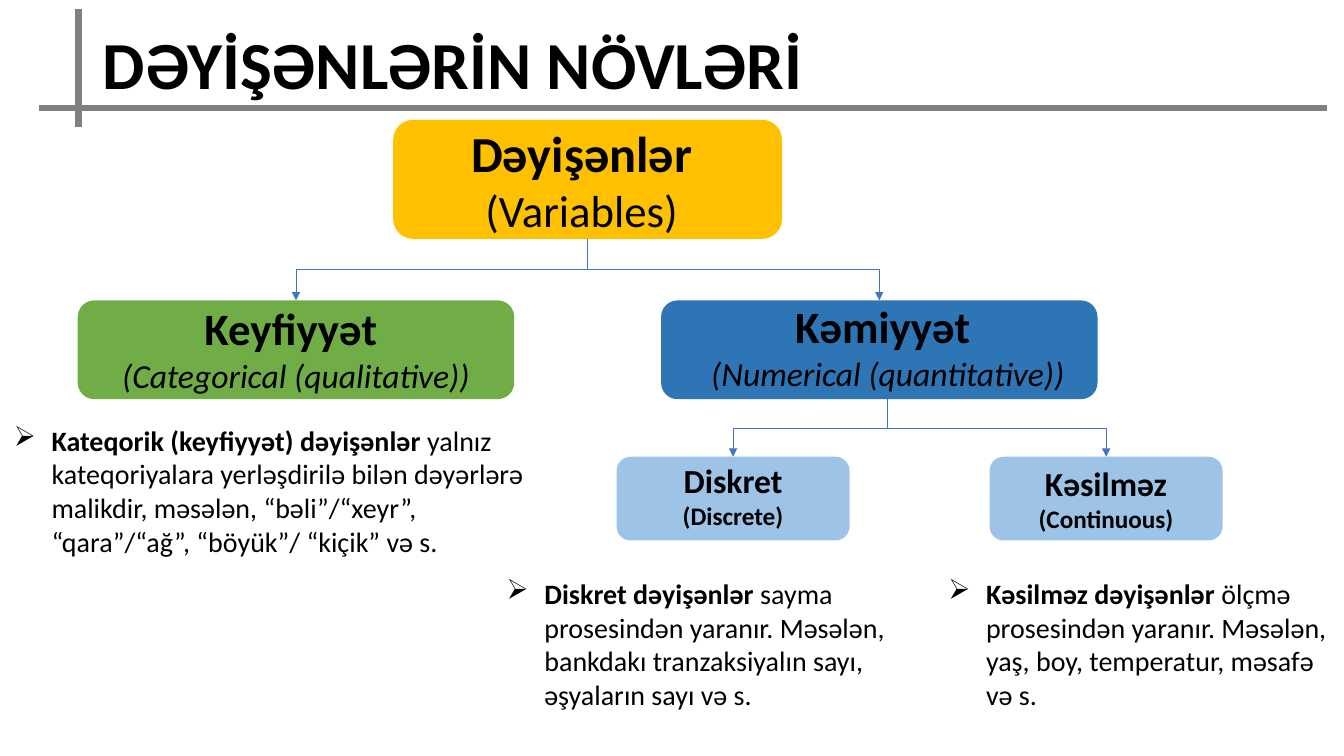
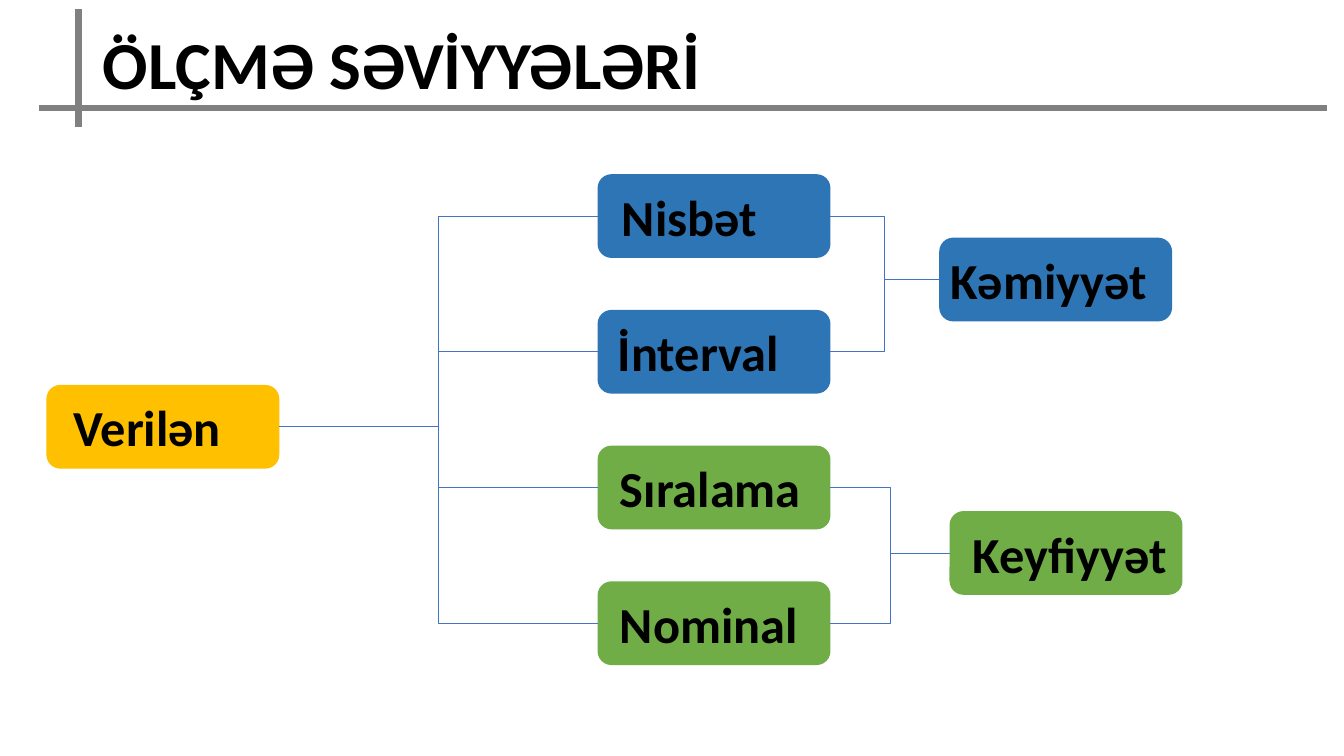
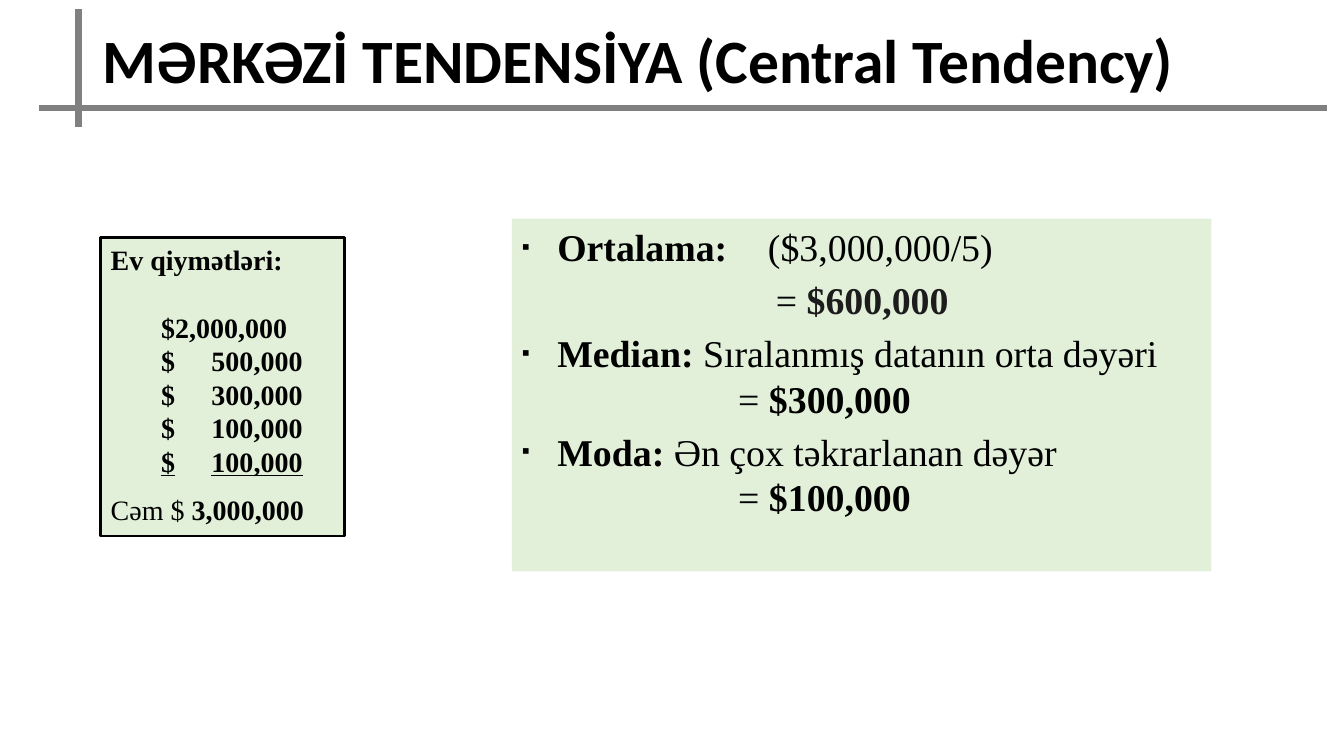
from lxml import etree
from pptx import Presentation
from pptx.dml import color as dml
from pptx.enum import shapes, text
from pptx.oxml import ns
from pptx.util import Cm, Pt

COLORS = {
    "black": "000000", "ink": "1C1C1C", "rule": "808080", "link": "4472C4",
    "root": "FFC000", "numeric": "2E75B6", "category": "70AD47",
    "leaf": "9DC3E6", "panel": "E2F0D9",
}
RGB = {name: dml.RGBColor.from_string(value) for name, value in COLORS.items()}
LEFT, CENTER = text.PP_ALIGN.LEFT, text.PP_ALIGN.CENTER
SERIF = "Times New Roman"


def write(box, content, size=20, font="Calibri", italic=False, align=LEFT, before=0,
          after=0, indent=0, hang=0, bullet=None, bullet_size=100, tabs=()):
    """Add one paragraph to a box; the parts between asterisks are bold."""
    frame = box.text_frame
    para = frame.add_paragraph() if frame.text else frame.paragraphs[0]
    props = para._p.get_or_add_pPr()
    props.set("marL", str(Cm(indent)))
    props.set("indent", str(Cm(-hang)))
    if bullet:
        etree.SubElement(props, ns.qn("a:buSzPct")).set("val", str(bullet_size * 1000))
        etree.SubElement(props, ns.qn("a:buChar")).set("char", bullet)
    else:
        etree.SubElement(props, ns.qn("a:buNone"))
    if tabs:
        stops = etree.SubElement(props, ns.qn("a:tabLst"))
        for position, side in tabs:
            etree.SubElement(stops, ns.qn("a:tab"), pos=str(Cm(position)), algn=side)
    para.alignment = align
    para.space_before, para.space_after = Pt(before), Pt(after)
    for number, part in enumerate(content.split("*")):
        if part:
            span = para.add_run()
            span.text = part
            span.font.name, span.font.size = font, Pt(size)
            span.font.bold, span.font.italic = number % 2 == 1, italic
            span.font.color.rgb = RGB["black"]
    return para


def block(page, place, fill, kind=shapes.MSO_SHAPE.ROUNDED_RECTANGLE, margins=(0, 0, 0, 0),
          anchor=text.MSO_ANCHOR.MIDDLE):
    """Add a filled shape; place and margins are in centimetres."""
    box = page.shapes.add_shape(kind, *map(Cm, place))
    box.shadow.inherit = False
    box.fill.solid()
    box.fill.fore_color.rgb = RGB[fill]
    box.line.fill.background()
    frame = box.text_frame
    frame.word_wrap, frame.vertical_anchor = True, anchor
    (frame.margin_left, frame.margin_top,
     frame.margin_right, frame.margin_bottom) = map(Cm, margins)
    return box


deck = Presentation()
deck.slide_width, deck.slide_height = Cm(33.87), Cm(19.05)

# Shared title place and crossed rules
heading = deck.slide_master.placeholders[0]
heading.left, heading.top, heading.width, heading.height = map(Cm, (2.34, 0.43, 30.3, 2.31))
heading.text_frame.vertical_anchor = text.MSO_ANCHOR.TOP
pages = []
for layout, title, size in [
    (5, "DƏYİŞƏNLƏRİN NÖVLƏRİ", 48),
    (5, "ÖLÇMƏ SƏVİYYƏLƏRİ", 48),
    (1, "MƏRKƏZİ TENDENSİYA (Central Tendency)", 44),
]:
    page = deck.slides.add_slide(deck.slide_layouts[layout])
    page.shapes.title.text_frame.auto_size = text.MSO_AUTO_SIZE.NONE
    write(page.shapes.title, f"*{title}*", size=size)
    for ends in [(0.99, 2.72, 33.43, 2.72), (1.98, 0.23, 1.98, 3.2)]:
        rule = page.shapes.add_connector(shapes.MSO_CONNECTOR.STRAIGHT, *map(Cm, ends))
        rule.line.color.rgb, rule.line.width = RGB["rule"], Pt(4.5)
        etree.SubElement(rule._element.spPr, ns.qn("a:effectLst"))
    pages.append(page)
types_page, levels_page, center_page = pages

# Types of variables: tree boxes
tree = {}
for name, place, fill, margins, top_line, low_line in [
    ("root", (9.91, 3.02, 9.8, 3), "root", (0, 0, 0.3, 0),
     ("*Dəyişənlər*", 36), ("(Variables)", 32)),
    ("category", (1.96, 7.57, 11, 2.49), "category", (0, 0, 0, 0.1),
     ("*Keyfiyyət *", 32), ("(Categorical (qualitative))", 24)),
    ("numeric", (16.66, 7.57, 11, 2.49), "numeric", (0.43, 0, 0, 0.2),
     ("*Kəmiyyət *", 32), ("(Numerical (quantitative))", 24)),
    ("discrete", (15.54, 11.51, 5.87, 2.11), "leaf", (0, 0, 0, 0.15),
     ("*Diskret*", 24), ("*(Discrete)*", 18)),
    ("continuous", (24.94, 11.51, 5.87, 2.11), "leaf", (0, 0, 0, 0),
     ("*Kəsilməz*", 24), ("*(Continuous)*", 18)),
]:
    tree[name] = block(types_page, place, fill, margins=margins)
    for content, size in (top_line, low_line):
        write(tree[name], content, size=size, align=CENTER, italic=size == 24 and "(" in content)

# Types of variables: arrows run down, then across, then down
for parent, child, shift in [
    ("root", "category", 0), ("root", "numeric", 0),
    ("numeric", "discrete", 0.2), ("numeric", "continuous", 0.2),
]:
    start, end = tree[parent], tree[child]
    start_x, start_y = start.left + start.width // 2 + Cm(shift), start.top + start.height
    end_x, end_y = end.left + end.width // 2, end.top
    middle_x, middle_y = (start_x + end_x) // 2, (start_y + end_y) // 2
    reach, spread = (end_y - start_y) // 2, abs(end_x - start_x) // 2
    rightward = end_x > start_x
    if rightward:
        reach = -reach
    arrow = types_page.shapes.add_connector(
        shapes.MSO_CONNECTOR.ELBOW, middle_x - reach, middle_y - spread,
        middle_x + reach, middle_y + spread)
    arrow._element.spPr.xfrm.set("rot", str((270 if rightward else 90) * 60000))
    arrow.line.color.rgb, arrow.line.width = RGB["link"], Pt(0.5)
    etree.SubElement(arrow.line._get_or_add_ln(), ns.qn("a:tailEnd")).set("type", "triangle")
    etree.SubElement(arrow._element.spPr, ns.qn("a:effectLst"))

# Types of variables: definitions
for left, top, width, content in [
    (0.1, 10.54, 13.97, "*Kateqorik (keyfiyyət) dəyişənlər *yalnız kateqoriyalara yerləşdirilə "
     "bilən dəyərlərə malikdir, məsələn, “bəli”/“xeyr”, “qara”/“ağ”, “böyük”/ “kiçik” və s."),
    (12.52, 14.4, 10.24, "*Diskret dəyişənlər *sayma prosesindən yaranır. Məsələn, "
     "bankdakı tranzaksiyalın sayı, əşyaların sayı və s."),
    (23.65, 14.4, 10.24, "*Kəsilməz dəyişənlər *ölçmə prosesindən yaranır. Məsələn, "
     "yaş, boy, temperatur, məsafə və s."),
]:
    note = types_page.shapes.add_textbox(Cm(left), Cm(top), Cm(width), Cm(3.68))
    note.text_frame.word_wrap = True
    write(note, content, indent=0.95, hang=0.95, bullet="➢")

# Levels of measurement: boxes
levels = {}
scale_left, scale_top, scale_step = 15.06, 4.39, 3.42
for name, left, top, fill, inset in [
    ("Verilən", 1.17, 9.7, "root", 0.58),
    ("Nisbət", scale_left, scale_top, "numeric", 0.51),
    ("İnterval", scale_left, scale_top + scale_step, "numeric", 0.41),
    ("Sıralama", scale_left, scale_top + 2 * scale_step, "category", 0.46),
    ("Nominal", scale_left, scale_top + 3 * scale_step, "category", 0.46),
    ("Kəmiyyət", 23.67, 5.99, "numeric", 0.18),
    ("Keyfiyyət", 23.93, 12.88, "category", 0.48),
]:
    levels[name] = block(levels_page, (left, top, 5.87, 2.11), fill, margins=(inset, 0, 0, 0))
    write(levels[name], f"*{name}*", size=36)

# Levels of measurement: links from right side to left side
for start, end in [
    ("Verilən", "Nisbət"), ("Verilən", "İnterval"),
    ("Verilən", "Sıralama"), ("Verilən", "Nominal"),
    ("Nisbət", "Kəmiyyət"), ("İnterval", "Kəmiyyət"),
    ("Sıralama", "Keyfiyyət"), ("Nominal", "Keyfiyyət"),
]:
    link = levels_page.shapes.add_connector(shapes.MSO_CONNECTOR.ELBOW, 0, 0, 0, 0)
    link.begin_connect(levels[start], 3)
    link.end_connect(levels[end], 1)
    link.line.color.rgb, link.line.width = RGB["link"], Pt(0.5)
    etree.SubElement(link._element.spPr, ns.qn("a:effectLst"))

# Central tendency: house prices
prices = block(center_page, (2.54, 5.99, 6.15, 7.52), "panel", kind=shapes.MSO_SHAPE.RECTANGLE,
               margins=(0.25, 0.13, 0.25, 0.13), anchor=text.MSO_ANCHOR.TOP)
prices.line.color.rgb, prices.line.width = RGB["black"], Pt(2)
write(prices, "*Ev qiymətləri:*", font=SERIF, after=24)
for amount in ["$2,000,000", "$\t500,000", "$\t300,000", "$\t100,000", "$\t100,000"]:
    row = write(prices, f"*\t*{''}*{amount}*", font=SERIF, tabs=[(1.42, "l"), (4.62, "r")])
row.runs[-1].font.underline = True
write(prices, "Cəm $ *3,000,000*", font=SERIF, before=10)

# Central tendency: measures
measures = center_page.placeholders[1]
measures.left, measures.top, measures.width, measures.height = map(Cm, (12.9, 5.51, 17.63, 8.89))
measures.fill.solid()
measures.fill.fore_color.rgb = RGB["panel"]
measures.text_frame.auto_size = text.MSO_AUTO_SIZE.NONE
bulleted = {"indent": 0.89, "hang": 0.89, "bullet": "▪", "bullet_size": 60}
for content, before, layout in [
    ("*Ortalama:*\t($3,000,000/5)", 0, {**bulleted, "tabs": [(6.2, "l")]}),
    ("= *$600,000*", 5.5, {"indent": 6.4}),
    ("*Median: *Sıralanmış datanın orta dəyəri", 5.5, bulleted),
    ("= *$300,000*", 0, {"indent": 5.45}),
    ("*Moda: *Ən çox təkrarlanan dəyər", 5.5, bulleted),
    ("= *$100,000*", 0, {"indent": 5.45}),
]:
    line = write(measures, content, size=27, font=SERIF, before=before, **layout)
    if "600,000" in content:
        line.runs[-1].font.color.rgb = RGB["ink"]

deck.save("out.pptx")
